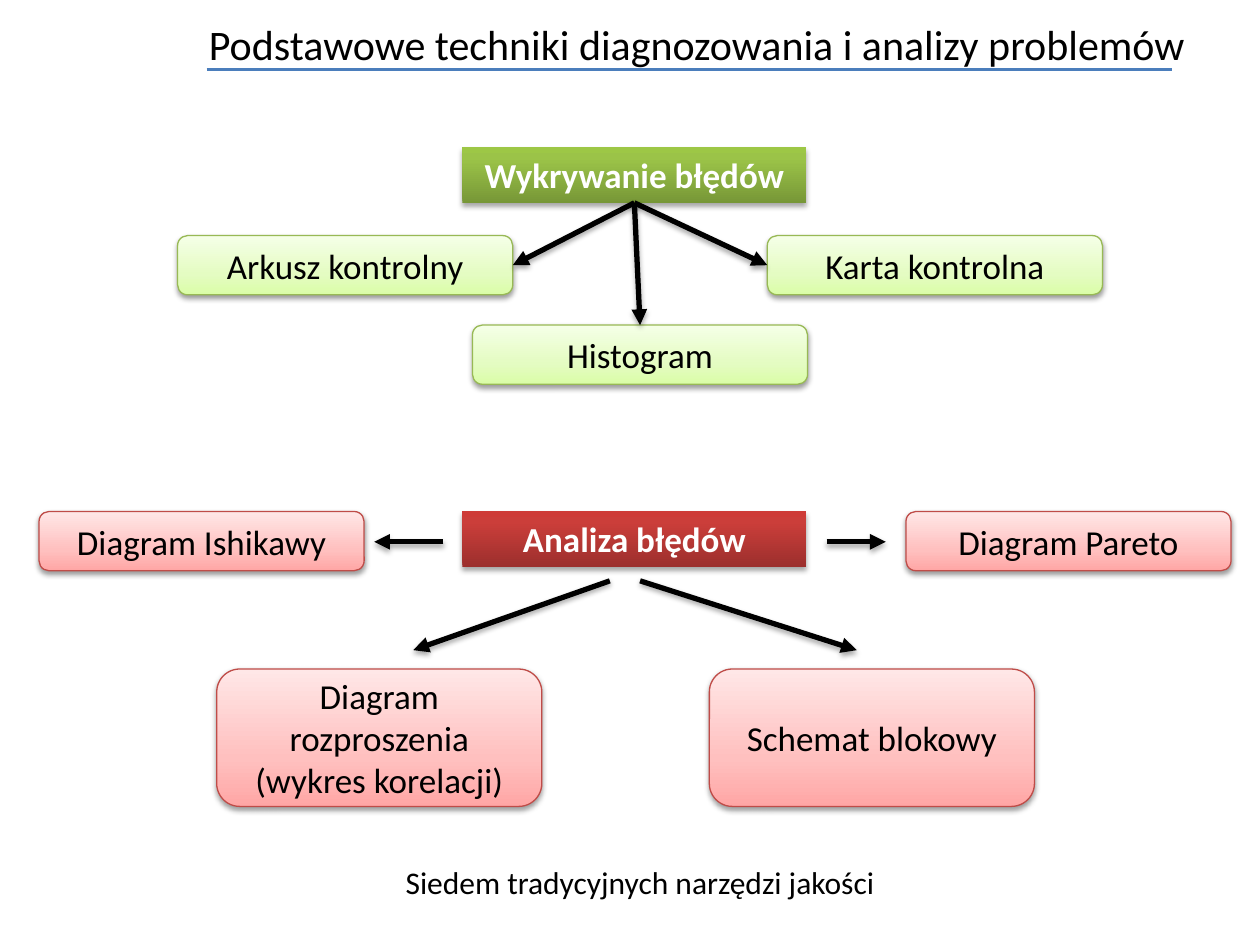
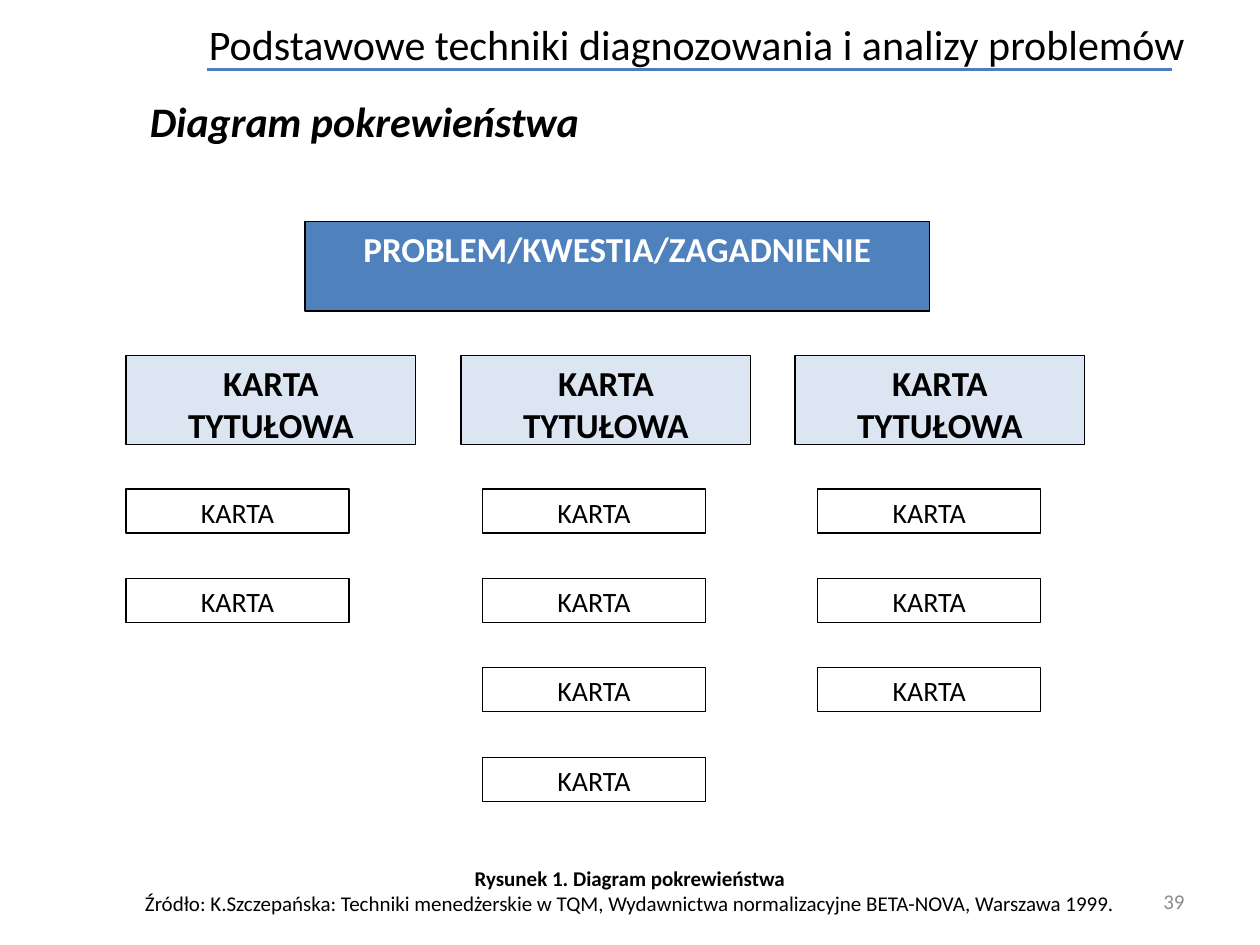
from dataclasses import dataclass
from typing import Optional

from lxml import etree
from pptx import Presentation
from pptx.dml.color import RGBColor
from pptx.enum import shapes, text
from pptx.oxml.ns import qn
from pptx.util import Inches, Pt

FONT = "Calibri"
BLACK, WHITE, GREY = "000000", "FFFFFF", "8C8C8C"
RULE_BLUE, BLUE, PALE_BLUE = "4B7EBC", "4F81BD", "DCE6F2"
TITLE = "Podstawowe techniki diagnozowania i analizy problemów"

LEFT, CENTER, RIGHT = text.PP_ALIGN.LEFT, text.PP_ALIGN.CENTER, text.PP_ALIGN.RIGHT
TOP, MIDDLE = text.MSO_ANCHOR.TOP, text.MSO_ANCHOR.MIDDLE
RECT = shapes.MSO_SHAPE.RECTANGLE
ROUNDED = shapes.MSO_SHAPE.ROUNDED_RECTANGLE


@dataclass(frozen=True)
class BoxStyle:
    fill: str | tuple[tuple[int, str], ...]  # solid colour or (percent, colour) stops
    line: Optional[str] = BLACK
    shape: int = RECT
    size: int = 20
    color: str = BLACK
    bold: bool = False
    anchor: int = TOP
    shadow: Optional[tuple[int, float]] = None  # opacity percent, distance in points


@dataclass(frozen=True)
class Box:
    label: str
    x: float
    y: float
    w: float
    h: float
    style: BoxStyle


@dataclass(frozen=True)
class Column:
    header_x: float
    card_x: float
    cards: int


def heading_style(*stops: tuple[int, str]) -> BoxStyle:
    return BoxStyle(stops, line=None, color=WHITE, bold=True, shadow=(35, 1.8))


def tool_style(line: str, *stops: tuple[int, str]) -> BoxStyle:
    return BoxStyle(stops, line, ROUNDED, anchor=MIDDLE, shadow=(38, 1.6))


GREEN_HEADING = heading_style((0, "779737"), (80, "9BC348"), (100, "9DC746"))
RED_HEADING = heading_style((0, "9C2F2D"), (80, "CB3E3A"), (100, "CE3B37"))
GREEN_TOOL = tool_style("98B955", (0, "DAFDA7"), (35, "E4FCC2"), (100, "F5FFE7"))
RED_TOOL = tool_style("BF4C48", (0, "FFA6A5"), (35, "FFC0BF"), (100, "FFE7E7"))
PROBLEM = BoxStyle(BLUE, color=WHITE, bold=True)
TITLE_CARD = BoxStyle(PALE_BLUE, bold=True)
CARD = BoxStyle(WHITE, size=16)


def rgb(color: str) -> RGBColor:
    return RGBColor.from_string(color)


def add_text(tf, content: str, *, size: float, color: str = BLACK, bold: bool = False,
             italic: bool = False, align: int = LEFT, new: bool = False) -> None:
    p = tf.add_paragraph() if new else tf.paragraphs[0]
    p.alignment = align
    r = p.add_run()
    r.text = content
    f = r.font
    f.name, f.size, f.bold, f.italic = FONT, Pt(size), bold, italic
    f.color.rgb = rgb(color)


def add_label(s, content: str, x: float, y: float, w: float, h: float, *,
              anchor: int = TOP, **fmt):
    tf = s.shapes.add_textbox(Inches(x), Inches(y), Inches(w), Inches(h)).text_frame
    tf.word_wrap = True
    tf.vertical_anchor = anchor
    add_text(tf, content, **fmt)
    return tf


def set_shadow(sp_pr, opacity: int, distance: float) -> None:
    effects = sp_pr.find(qn("a:effectLst"))
    if effects is None:
        effects = etree.SubElement(sp_pr, qn("a:effectLst"))
    outer = etree.SubElement(effects, qn("a:outerShdw"), blurRad=str(Pt(3.1)),
                             dist=str(Pt(distance)), dir="5400000", rotWithShape="0")
    color = etree.SubElement(outer, qn("a:srgbClr"), val=BLACK)
    etree.SubElement(color, qn("a:alpha"), val=str(opacity * 1000))


def set_gradient(sp, stops: tuple[tuple[int, str], ...]) -> None:
    """Fill the shape with a gradient that runs from bottom to top."""
    sp.fill.gradient()
    grad = sp.element.spPr.find(qn("a:gradFill"))
    for child in list(grad):
        grad.remove(child)
    stop_list = etree.SubElement(grad, qn("a:gsLst"))
    for percent, color in stops:
        stop = etree.SubElement(stop_list, qn("a:gs"), pos=str(percent * 1000))
        etree.SubElement(stop, qn("a:srgbClr"), val=color)
    etree.SubElement(grad, qn("a:lin"), ang="16200000", scaled="0")


def add_box(s, box: Box):
    style = box.style
    sp = s.shapes.add_shape(style.shape, Inches(box.x), Inches(box.y),
                            Inches(box.w), Inches(box.h))
    if isinstance(style.fill, str):
        sp.fill.solid()
        sp.fill.fore_color.rgb = rgb(style.fill)
    else:
        set_gradient(sp, style.fill)
    if style.line:
        sp.line.color.rgb = rgb(style.line)
        sp.line.width = Pt(0.75)
    else:
        sp.line.fill.background()
    sp.shadow.inherit = False
    if style.shadow:
        set_shadow(sp.element.spPr, *style.shadow)
    tf = sp.text_frame
    tf.word_wrap = True
    tf.vertical_anchor = style.anchor
    add_text(tf, box.label, size=style.size, color=style.color, bold=style.bold,
             align=CENTER)
    return sp


def add_line(s, x1: float, y1: float, x2: float, y2: float, color: str, width: float):
    c = s.shapes.add_connector(shapes.MSO_CONNECTOR.STRAIGHT, Inches(x1), Inches(y1),
                               Inches(x2), Inches(y2))
    c.line.color.rgb = rgb(color)
    c.line.width = Pt(width)
    etree.SubElement(c.element.spPr, qn("a:effectLst"))
    return c


def add_arrow(s, x1: float, y1: float, x2: float, y2: float):
    c = add_line(s, x1, y1, x2, y2, BLACK, 3)
    sp_pr = c.element.spPr
    etree.SubElement(sp_pr.find(qn("a:ln")), qn("a:tailEnd"), type="triangle")
    set_shadow(sp_pr, 35, 1.8)
    return c


def add_slide(prs):
    """Add a blank slide with the shared title and its rule."""
    s = prs.slides.add_slide(prs.slide_layouts[6])
    add_line(s, 1.64, 0.55, 9.3, 0.55, RULE_BLUE, 2)
    add_label(s, TITLE, 1.56, 0, 8.44, 0.7, size=24, anchor=MIDDLE)
    return s


def build_quality_tools(prs) -> None:
    s = add_slide(prs)

    detection = add_box(s, Box("Wykrywanie błędów", 3.67, 1.17, 2.73, 0.44, GREEN_HEADING))
    for label, x, y, side, end in (
        ("Arkusz kontrolny", 1.41, 1.87, 3, (4.07, 2.11)),
        ("Histogram", 3.75, 2.58, 0, (5.08, 2.58)),
        ("Karta kontrolna", 6.09, 1.87, 1, (6.09, 2.11)),
    ):
        tool = add_box(s, Box(label, x, y, 2.66, 0.47, GREEN_TOOL))
        arrow = add_arrow(s, 5.04, 1.61, *end)
        arrow.begin_connect(detection, 2)
        arrow.end_connect(tool, side)

    add_box(s, Box("Analiza błędów", 3.67, 4.06, 2.73, 0.44, RED_HEADING))
    for label, x, y, h, ends in (
        ("Diagram Pareto", 7.19, 4.06, 0.47, (6.56, 4.3, 7.03, 4.3)),
        ("Diagram Ishikawy", 0.31, 4.06, 0.47, (3.52, 4.3, 2.97, 4.3)),
        ("Diagram rozproszenia (wykres korelacji)", 1.72, 5.31, 1.09,
         (4.84, 4.61, 3.28, 5.16)),
        ("Schemat blokowy", 5.63, 5.31, 1.09, (5.08, 4.61, 6.8, 5.16)),
    ):
        add_box(s, Box(label, x, y, 2.58, h, RED_TOOL))
        add_arrow(s, *ends)

    add_label(s, "Siedem tradycyjnych narzędzi jakości", 2.11, 6.8, 5.94, 0.4,
              size=18, align=CENTER)


def build_affinity_diagram(prs) -> None:
    s = add_slide(prs)
    add_label(s, "Diagram pokrewieństwa", 1.09, 0.71, 8.52, 0.5,
              size=24, bold=True, italic=True)

    add_box(s, Box("PROBLEM/KWESTIA/ZAGADNIENIE", 2.42, 1.76, 4.96, 0.71, PROBLEM))
    first_card_y, card_pitch = 3.88, 0.71
    for column in (Column(1, 1, 2), Column(3.66, 3.83, 4), Column(6.31, 6.49, 3)):
        add_box(s, Box("KARTA TYTUŁOWA", column.header_x, 2.82, 2.3, 0.71, TITLE_CARD))
        for row in range(column.cards):
            y = first_card_y + row * card_pitch
            add_box(s, Box("KARTA", column.card_x, y, 1.77, 0.35, CARD))

    caption = add_label(s, "Rysunek 1. Diagram pokrewieństwa", 0, 6.82, 10, 0.5,
                        size=12, bold=True, align=CENTER, anchor=MIDDLE)
    add_text(caption, "Źródło: K.Szczepańska: Techniki menedżerskie w TQM, Wydawnictwa "
             "normalizacyjne BETA-NOVA, Warszawa 1999.", size=12, align=CENTER, new=True)
    add_label(s, "39", 7.17, 6.95, 2.33, 0.4, size=12, color=GREY, align=RIGHT,
              anchor=MIDDLE)


def main() -> None:
    prs = Presentation()
    prs.slide_width, prs.slide_height = Inches(10), Inches(7.5)
    build_quality_tools(prs)
    build_affinity_diagram(prs)
    prs.save("out.pptx")


if __name__ == "__main__":
    main()
